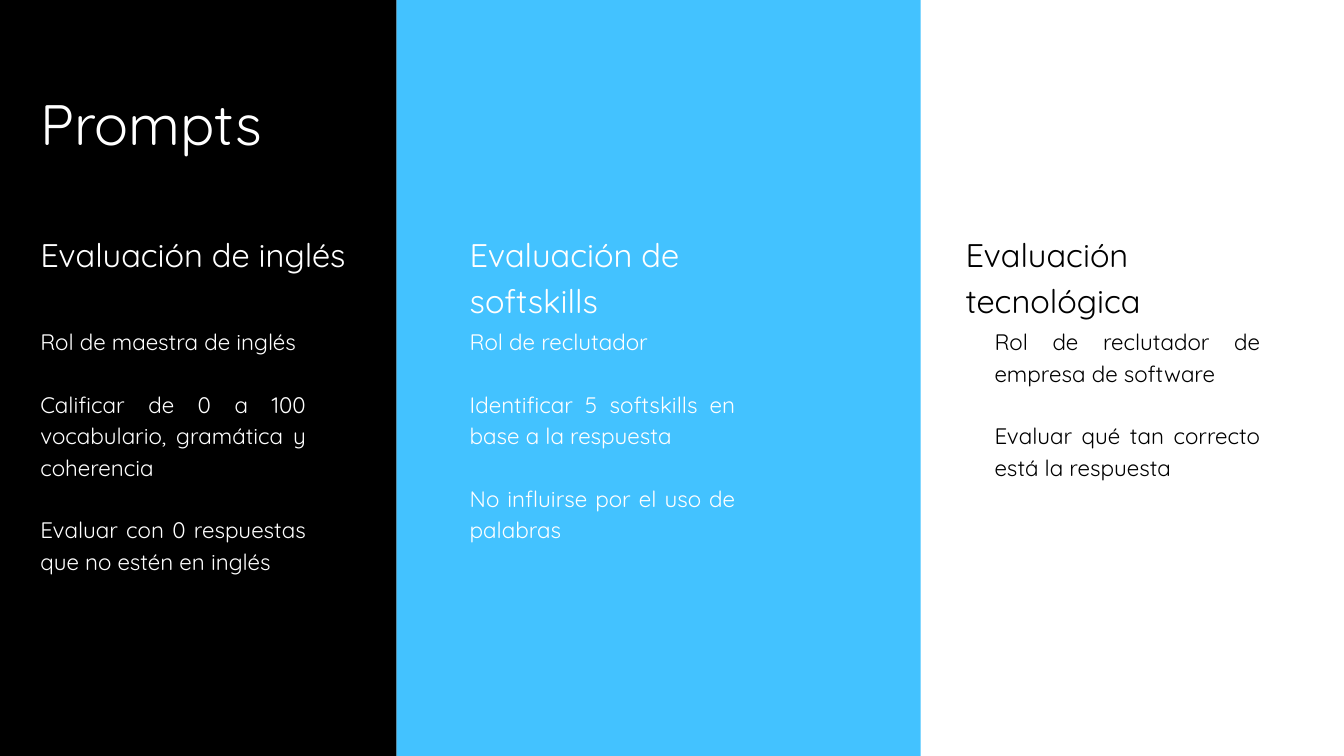
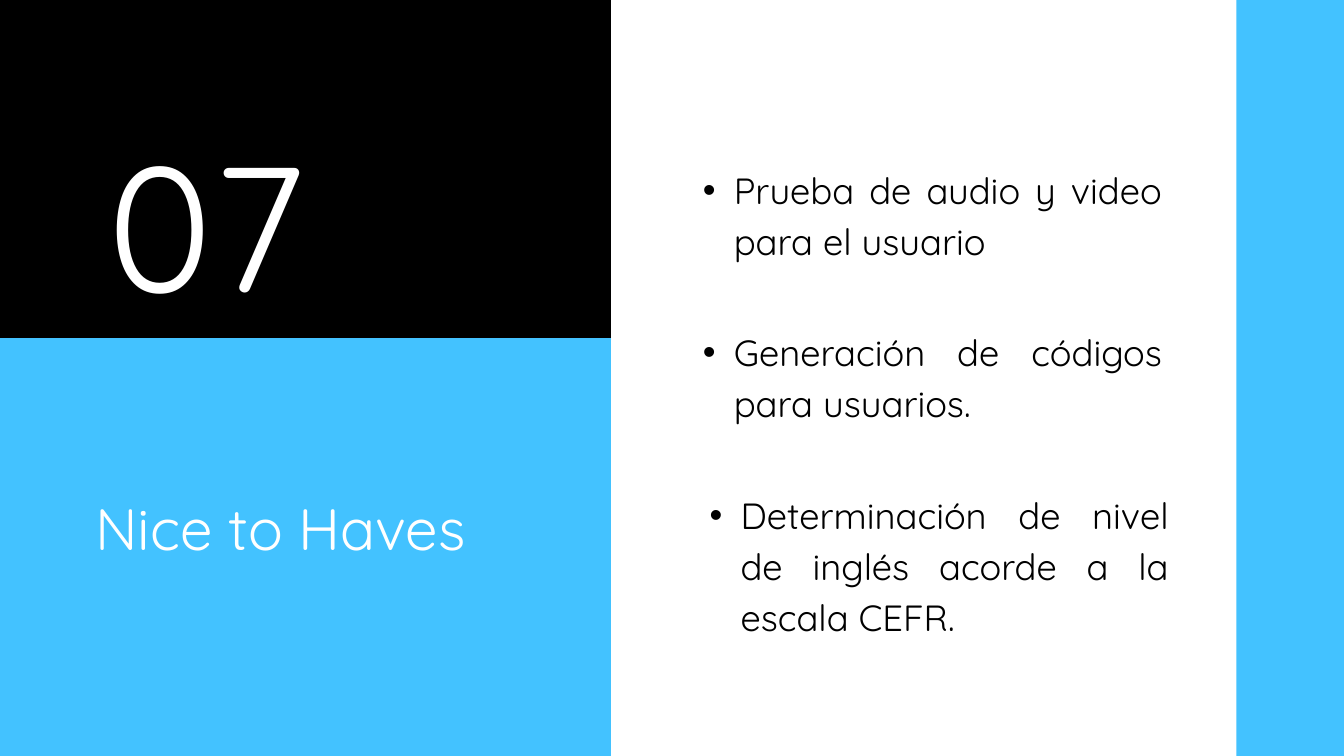
from lxml.etree import SubElement
from pptx import Presentation
from pptx.dml.color import RGBColor
from pptx.enum.shapes import MSO_SHAPE as Preset
from pptx.enum.text import MSO_AUTO_SIZE as AutoSize, PP_ALIGN as Align
from pptx.oxml.ns import qn
from pptx.util import Inches, Pt

FONT = "Quicksand"
BLACK, BLUE, WHITE = "000000", "43C2FF", "FFFFFF"
WIDTH, HEIGHT = 20, 11.25

PROMPT_BANDS = [(5.9, 0, 7.8, HEIGHT, BLUE), (0, 0, 5.9, HEIGHT, BLACK)]
PROMPTS = [
    {
        "heading": "Evaluación de inglés",
        "heading_left": 0.6,
        "heading_width": 4.55,
        "rules_left": 0.6,
        "rules_height": 3.64,
        "color": WHITE,
        "rules": [
            "Rol de maestra de inglés",
            "Calificar de 0 a 100 vocabulario, gramática y coherencia",
            "Evaluar con 0 respuestas que no estén en inglés",
        ],
    },
    {
        "heading": "Evaluación de softskills",
        "heading_left": 6.99,
        "heading_width": 5.14,
        "rules_left": 6.99,
        "rules_height": 3.18,
        "color": WHITE,
        "rules": [
            "Rol de reclutador",
            "Identificar 5 softskills en base a la respuesta",
            "No influirse por el uso de palabras",
        ],
    },
    {
        "heading": "Evaluación tecnológica",
        "heading_left": 14.37,
        "heading_width": 5.14,
        "rules_left": 14.8,
        "rules_height": 2.72,
        "color": BLACK,
        "rules": [
            "Rol de reclutador de empresa de software",
            "Evaluar qué tan correcto está la respuesta",
        ],
    },
]

SECTION_BANDS = [
    (0, 0, 9.09, HEIGHT, BLUE),
    (0, 0, 9.09, 5.03, BLACK),
    (18.4, 0, 1.6, HEIGHT, BLUE),
]
WISHES = [
    ("Prueba de audio y video para el usuario", 10, 1.48),
    ("Generación de códigos para usuarios.", 10, 1.48),
    ("Determinación de nivel de inglés acorde a la escala CEFR.", 10.1, 2.23),
]
WISH_TOP, WISH_STEP = 2.39, 2.42


def rgb(color):
    return RGBColor.from_string(color)


def new_slide(deck, bands):
    slide = deck.slides.add_slide(deck.slide_layouts[6])
    slide.background.fill.solid()
    slide.background.fill.fore_color.rgb = rgb(WHITE)
    for left, top, width, height, color in bands:
        band = slide.shapes.add_shape(
            Preset.RECTANGLE, Inches(left), Inches(top), Inches(width), Inches(height))
        band.shadow.inherit = False
        band.fill.solid()
        band.fill.fore_color.rgb = rgb(color)
        band.line.fill.background()
    return slide


def add_bullet(paragraph):
    paragraph.level = 1
    properties = paragraph._p.get_or_add_pPr()
    properties.set("marL", str(Inches(0.92)))
    properties.set("indent", str(Inches(-0.46)))
    SubElement(properties, qn("a:buFont"), typeface="Arial")
    SubElement(properties, qn("a:buChar"), char="•")


def write(slide, lines, place, size, leading, color=WHITE,
          align=Align.LEFT, gap=0, bullet=False):
    box = slide.shapes.add_textbox(*map(Inches, place))
    frame = box.text_frame
    frame.word_wrap = True
    frame.auto_size = AutoSize.SHAPE_TO_FIT_TEXT
    frame.margin_left = frame.margin_top = frame.margin_right = frame.margin_bottom = 0
    for index, line in enumerate(lines):
        paragraph = frame.paragraphs[0] if index == 0 else frame.add_paragraph()
        paragraph.alignment = align
        paragraph.line_spacing = Pt(leading)
        if index and gap:
            paragraph.space_before = Pt(gap)
        if bullet:
            add_bullet(paragraph)
        run = paragraph.add_run()
        run.text = line
        run.font.name = FONT
        run.font.size = Pt(size)
        run.font.color.rgb = rgb(color)


def build_prompts(deck):
    slide = new_slide(deck, PROMPT_BANDS)
    write(slide, ["Prompts"], (0.6, 1.15, 5.5, 1.14), 61, 85.4)
    for prompt in PROMPTS:
        write(slide, [prompt["heading"]],
              (prompt["heading_left"], 3.4, prompt["heading_width"], 0.64),
              35, 49, prompt["color"])
        write(slide, prompt["rules"],
              (prompt["rules_left"], 4.82, 3.95, prompt["rules_height"]),
              24, 33.6, prompt["color"], Align.JUSTIFY, gap=33.6)


def build_nice_to_haves(deck):
    slide = new_slide(deck, SECTION_BANDS)
    write(slide, ["07"], (1.6, 1.18, 4.09, 3.57), 190, 266)
    write(slide, ["Nice to Haves"], (1.42, 7.4, 5.89, 1), 62.5, 69.3)
    for index, (wish, left, height) in enumerate(WISHES):
        write(slide, [wish], (left, WISH_TOP + index * WISH_STEP, 7.29, height),
              39, 54.6, BLACK, Align.JUSTIFY, bullet=True)


def main():
    deck = Presentation()
    deck.slide_width, deck.slide_height = Inches(WIDTH), Inches(HEIGHT)
    build_prompts(deck)
    build_nice_to_haves(deck)
    deck.save("out.pptx")


if __name__ == "__main__":
    main()
